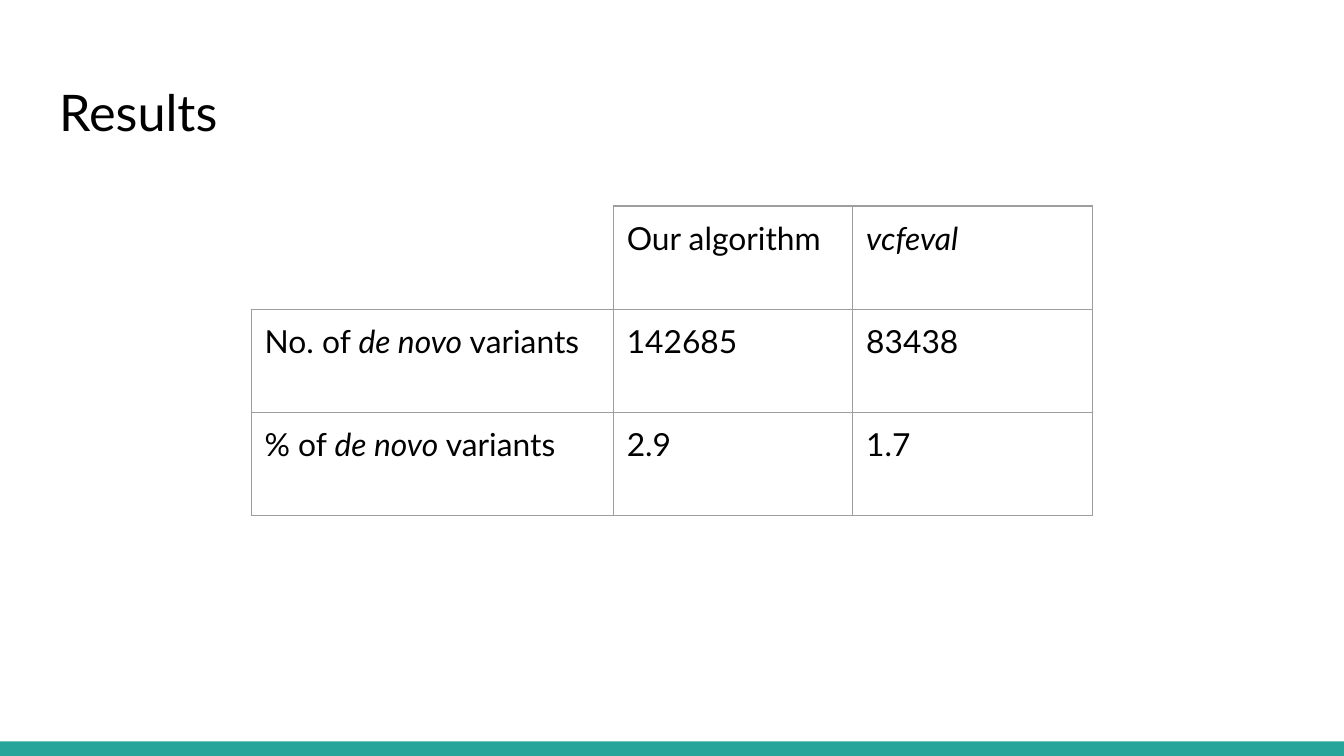
from lxml.etree import SubElement
from pptx import Presentation
from pptx.dml.color import RGBColor
from pptx.enum.shapes import MSO_SHAPE
from pptx.enum.text import MSO_ANCHOR, PP_ALIGN
from pptx.oxml.ns import qn
from pptx.util import Pt

# Content: each cell is a list of (text, italic) runs
TITLE = [("Results", False)]
ROWS = [
    [[], [("Our algorithm", False)], [("vcfeval", True)]],
    [[("No. of ", False), ("de novo", True), (" variants", False)],
     [("142685", False)], [("83438", False)]],
    [[("% of ", False), ("de novo", True), (" variants", False)],
     [("2.9", False)], [("1.7", False)]],
]

COLORS = {"text": "000000", "page": "FFFFFF", "bar": "26A69A", "border": "9E9E9E"}
FONT = "Lato"
SLIDE_WIDTH, SLIDE_HEIGHT = 720, 405
BAR_HEIGHT = 7.8
TABLE_LEFT, TABLE_TOP = 134.6, 110.4
COLUMN_WIDTHS = [194, 128.3, 128.3]
ROW_HEIGHT = 55.2
INSET = 7.2
BORDER_WIDTH = 0.75


def color(name):
    return RGBColor.from_string(COLORS[name])


def write_text(text_frame, runs, size=17, color_name="text"):
    paragraph = text_frame.paragraphs[0]
    paragraph.alignment = PP_ALIGN.LEFT
    for text, italic in runs:
        run = paragraph.add_run()
        run.text = text
        run.font.name = FONT
        run.font.size = Pt(size)
        run.font.italic = italic
        run.font.color.rgb = color(color_name)


def set_insets(holder):
    holder.margin_left = holder.margin_right = Pt(INSET)
    holder.margin_top = holder.margin_bottom = Pt(INSET)


def add_borders(cell, hidden_sides=()):
    properties = cell._tc.get_or_add_tcPr()
    for side in "LRTB":
        line = SubElement(properties, qn(f"a:ln{side}"), w=str(Pt(BORDER_WIDTH)))
        fill = SubElement(line, qn("a:solidFill"))
        name = "page" if side in hidden_sides else "border"
        SubElement(fill, qn("a:srgbClr"), val=COLORS[name])


presentation = Presentation()
presentation.slide_width = Pt(SLIDE_WIDTH)
presentation.slide_height = Pt(SLIDE_HEIGHT)
slide = presentation.slides.add_slide(presentation.slide_layouts[5])
slide.background.fill.solid()
slide.background.fill.fore_color.rgb = color("page")

# Bottom bar
bar = slide.shapes.add_shape(
    MSO_SHAPE.RECTANGLE, 0, Pt(SLIDE_HEIGHT - BAR_HEIGHT), Pt(SLIDE_WIDTH), Pt(BAR_HEIGHT))
bar.shadow.inherit = False
bar.fill.solid()
bar.fill.fore_color.rgb = color("bar")
bar.line.fill.background()

# Title
title = slide.shapes.title
title.left, title.top, title.width, title.height = Pt(24.5), Pt(35.3), Pt(671), Pt(48.2)
set_insets(title.text_frame)
title.text_frame.vertical_anchor = MSO_ANCHOR.MIDDLE
write_text(title.text_frame, TITLE, size=27)

# Results table
table = slide.shapes.add_table(
    len(ROWS), len(COLUMN_WIDTHS), Pt(TABLE_LEFT), Pt(TABLE_TOP),
    Pt(sum(COLUMN_WIDTHS)), Pt(ROW_HEIGHT * len(ROWS))).table
table.first_row = table.horz_banding = False
for column, width in zip(table.columns, COLUMN_WIDTHS):
    column.width = Pt(width)
for row_index, row in enumerate(ROWS):
    table.rows[row_index].height = Pt(ROW_HEIGHT)
    for column_index, runs in enumerate(row):
        cell = table.cell(row_index, column_index)
        set_insets(cell)
        write_text(cell.text_frame, runs)
        # The empty corner cell shows no outer edges
        add_borders(cell, hidden_sides="" if runs else "LT")
        cell.fill.background()

presentation.save("out.pptx")
